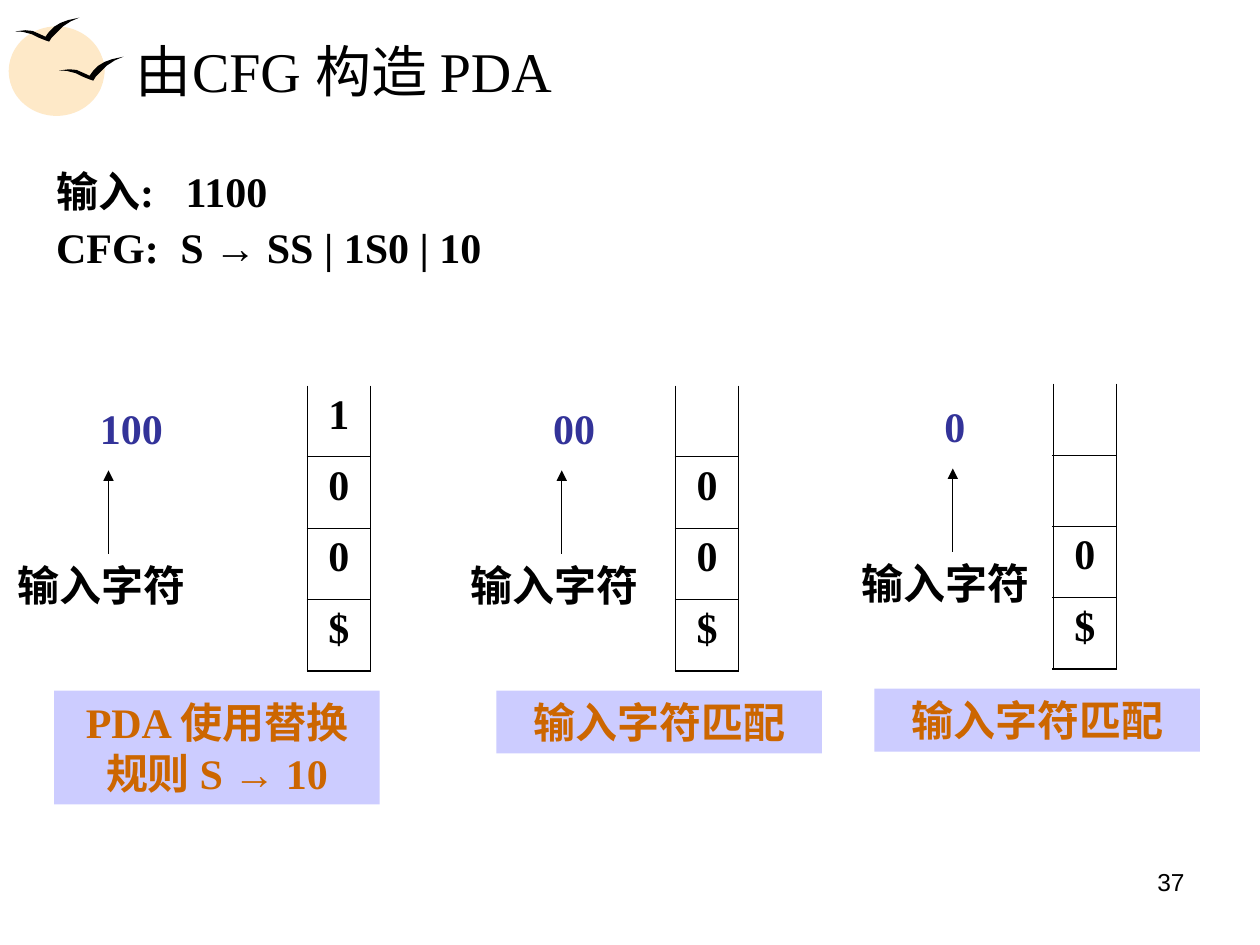
from dataclasses import dataclass

from lxml import etree
from pptx import Presentation, util as u
from pptx.dml import color
from pptx.enum import shapes, text
from pptx.oxml import ns

Pt = u.Pt
Align = text.PP_ALIGN


@dataclass(frozen=True)
class Theme:
    """Colours, fonts and sizes of the slide."""
    black: str = "000000"
    blue: str = "333399"
    rust: str = "CC6600"
    lilac: str = "CCCCFF"
    cream: str = "FEE9C8"
    serif: str = "Times New Roman"
    sans: str = "Arial"
    title: int = 32
    body: int = 24
    small: int = 14
    edge: float = 1.08
    rule: float = 0.45
    shaft: float = 0.75


T = Theme()
WING = [(0, 7.9), (5.8, 7.2), (10, 7.6), (13.7, 9.2), (17.4, 10.9),
        (19.5, 8), (22.3, 5.2), (26, 3), (30.3, 1.4), (36.7, 0),
        (31.8, 2.1), (27.4, 5), (23.8, 8.6), (20.9, 11.5), (19.5, 13.7),
        (17.4, 13), (13.7, 11.5), (9.4, 9.4), (4.3, 8.1)]


def rgb(code):
    """Turn a hex code into a colour."""
    return color.RGBColor.from_string(code)


def node(parent, tag, **attrs):
    """Append a drawing element to a parent."""
    return etree.SubElement(parent, ns.qn("a:" + tag), attrs)


def paint(shape, fill):
    """Give a shape a flat fill with no line or shadow."""
    shape.shadow.inherit = False
    shape.fill.solid()
    shape.fill.fore_color.rgb = rgb(fill)
    shape.line.fill.background()


def write(para, words, tone=T.black, size=T.body, bold=True, face=T.serif):
    """Add text run by run, with arrows in the sans face."""
    for i, part in enumerate(words.split("→")):
        for bit, font in ([("→", T.sans)] if i else []) + [(part, face)]:
            run = para.add_run()
            run.text = bit
            run.font.name = font
            run.font.size = Pt(size)
            run.font.bold = bold
            run.font.color.rgb = rgb(tone)


def label(slide, box, words, align=Align.LEFT, **style):
    """Place a text box with one paragraph."""
    shape = slide.shapes.add_textbox(*map(Pt, box))
    frame = shape.text_frame
    frame.word_wrap = True
    frame.paragraphs[0].alignment = align
    write(frame.paragraphs[0], words, **style)
    return frame


def emblem(slide, x, y):
    """Draw the sun with two birds."""
    for dx, dy, w, h in [(0, 0, 54.7, 51.1), (9.4, 5, 45.4, 39.6)]:
        disc = slide.shapes.add_shape(
            shapes.MSO_SHAPE.OVAL, Pt(x + dx), Pt(y + dy), Pt(w), Pt(h))
        paint(disc, T.cream)
    for dx, dy in [(28.8, 17.3), (3.6, -5)]:
        pts = [(Pt(x + dx + a), Pt(y + dy + b)) for a, b in WING]
        form = slide.shapes.build_freeform(*pts[0])
        form.add_line_segments(pts[1:])
        paint(form.convert_to_shape(), T.black)


def intro(slide, box):
    """Write the input and the grammar with tabbed values."""
    shape = slide.shapes.add_textbox(*map(Pt, box))
    frame = shape.text_frame
    frame.word_wrap = True
    lines = [("输入:\t1100", 74), ("CFG:\tS → SS | 1S0 | 10", 71)]
    for i, (words, stop) in enumerate(lines):
        para = frame.add_paragraph() if i else frame.paragraphs[0]
        para.line_spacing = 0.9
        para.space_before = Pt(6 if i else 0)
        tabs = node(para._p.get_or_add_pPr(), "tabLst")
        node(tabs, "tab", pos=str(Pt(stop)), algn="l")
        write(para, words)


def border(cell, first, last):
    """Rule a stack cell, leaving the top of the stack open."""
    props = cell._tc.get_or_add_tcPr()
    sides = {"lnL": T.edge, "lnR": T.edge, "lnT": 0 if first else T.rule,
             "lnB": T.edge if last else T.rule}
    for i, (side, width) in enumerate(sides.items()):
        line = node(props, side, w=str(Pt(width)))
        if width:
            node(node(line, "solidFill"), "srgbClr", val=T.black)
        else:
            node(line, "noFill")
        props.insert(i, line)


def stack(slide, box, signs):
    """Draw a stack as a table of one column."""
    grid = slide.shapes.add_table(len(signs), 1, *map(Pt, box)).table
    grid.first_row = grid.horz_banding = False
    for i, sign in enumerate(signs):
        grid.rows[i].height = Pt(box[3] / len(signs))
        cell = grid.cell(i, 0)
        cell.fill.background()
        border(cell, i == 0, i == len(signs) - 1)
        if sign:
            para = cell.text_frame.paragraphs[0]
            para.alignment = Align.CENTER
            write(para, sign)


def arrow(slide, x, low, high):
    """Draw an upward arrow."""
    line = slide.shapes.add_connector(
        shapes.MSO_CONNECTOR.STRAIGHT, Pt(x), Pt(low), Pt(x), Pt(high))
    line.line.color.rgb = rgb(T.black)
    line.line.width = Pt(T.shaft)
    node(line.line._get_or_add_ln(), "tailEnd", type="triangle")
    node(line._element.spPr, "effectLst")


def note(slide, box, words):
    """Place a filled caption."""
    shape = slide.shapes.add_shape(
        shapes.MSO_SHAPE.RECTANGLE, *map(Pt, box))
    paint(shape, T.lilac)
    frame = shape.text_frame
    frame.word_wrap = True
    frame.vertical_anchor = text.MSO_ANCHOR.TOP
    frame.paragraphs[0].alignment = Align.CENTER
    write(frame.paragraphs[0], words, tone=T.rust)


def step(slide, x, y, tape, width, signs, gap, inset, words, tall):
    """Show one move: rest of input, stack and caption."""
    label(slide, (x + 47, y + 6, width, 36), tape, tone=T.blue)
    arrow(slide, x + 59, y + 96, y + 48.5)
    label(slide, (x, y + 96, 116, 36), "输入字符")
    stack(slide, (x + gap, y, 36, 163), signs)
    note(slide, (x + inset, y + 174.3, 186, tall), words)


def main():
    """Build the slide and save it."""
    deck = Presentation()
    deck.slide_width, deck.slide_height = Pt(720), Pt(540)
    slide = deck.slides.add_slide(deck.slide_layouts[6])
    emblem(slide, 5, 15.1)
    label(slide, (492 + 24, 492, 168, 37), "37", Align.RIGHT,
          size=T.small, bold=False, face=T.sans)
    title = label(slide, (70.6, 15, 614, 50), "由CFG 构造 PDA",
                  size=T.title, bold=False)
    title.vertical_anchor = text.MSO_ANCHOR.MIDDLE
    intro(slide, (25, 94.3, 675, 73.4))
    moves = [
        (3, 220.3, "100", 108, "100$", 172.7, 28,
         "PDA 使用替换规则 S → 10", 65),
        (262, 220.3, "00", 63, ["", "0", "0", "$"], 124, 21.7,
         "输入字符匹配", 36),
        (485.5, 219.2, "0", 49, ["", "", "0", "$"], 116.4, 14.2,
         "输入字符匹配", 36)]
    for move in moves:
        step(slide, *move)
    deck.save("out.pptx")


if __name__ == "__main__":
    main()
